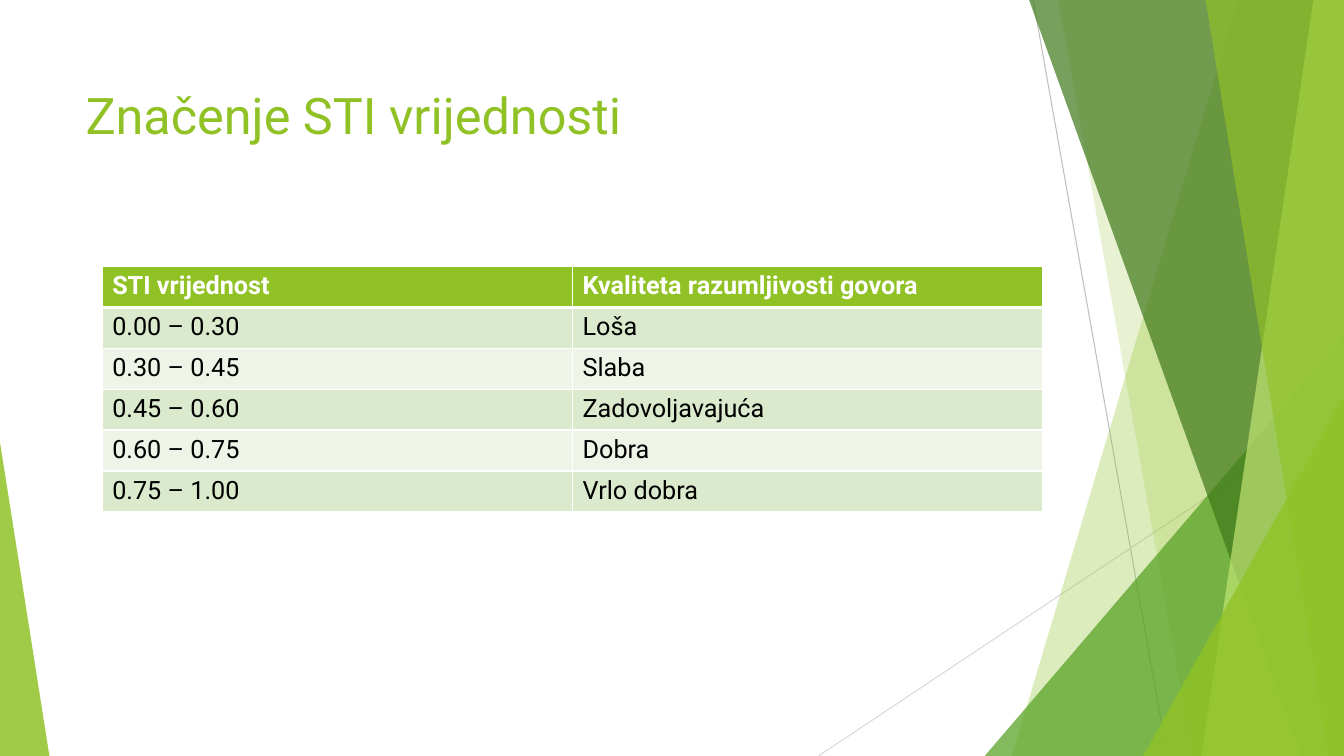
from lxml.etree import SubElement
from pptx import Presentation
from pptx.dml.color import RGBColor
from pptx.enum.shapes import MSO_CONNECTOR, MSO_SHAPE
from pptx.enum.text import MSO_ANCHOR
from pptx.oxml.ns import qn
from pptx.util import Pt

LIME = RGBColor(0x90, 0xC2, 0x26)
PALE_LIME = RGBColor(0xC0, 0xE4, 0x74)
GREEN = RGBColor(0x54, 0xA0, 0x21)
DARK_GREEN = RGBColor(0x3F, 0x78, 0x19)
BAND_DARK = RGBColor(0xDB, 0xE9, 0xCD)
BAND_LIGHT = RGBColor(0xEE, 0xF4, 0xE8)
GREY = RGBColor(0xBF, 0xBF, 0xBF)
LIGHT_GREY = RGBColor(0xD9, 0xD9, 0xD9)
WHITE = RGBColor(0xFF, 0xFF, 0xFF)
BLACK = RGBColor(0, 0, 0)

WIDTH, HEIGHT = 960, 540

RATINGS = [
    ("STI vrijednost", "Kvaliteta razumljivosti govora"),
    ("0.00 – 0.30", "Loša"),
    ("0.30 – 0.45", "Slaba"),
    ("0.45 – 0.60", "Zadovoljavajuća"),
    ("0.60 – 0.75", "Dobra"),
    ("0.75 – 1.00", "Vrlo dobra"),
]


class SlideBuilder:
    """Draws styled elements on one slide, with lengths in points."""

    def __init__(self, page, font_name):
        self.page = page
        self.font_name = font_name

    def paint(self, shape, color, opacity):
        shape.shadow.inherit = False
        shape.fill.solid()
        shape.fill.fore_color.rgb = color
        shape.line.fill.background()
        color_node = shape.element.spPr.find(f"{qn('a:solidFill')}/{qn('a:srgbClr')}")
        SubElement(color_node, qn("a:alpha"), val=str(opacity * 1000))

    def line(self, start, end, color):
        connector = self.page.shapes.add_connector(
            MSO_CONNECTOR.STRAIGHT, *(Pt(value) for value in start + end))
        connector.line.color.rgb = color
        connector.line.width = Pt(0.75)
        SubElement(connector.element.spPr, qn("a:effectLst"))

    def band(self, top_left, bottom_left, color, opacity):
        builder = self.page.shapes.build_freeform(Pt(top_left), 0)
        corners = [(WIDTH, 0), (WIDTH, HEIGHT), (bottom_left, HEIGHT)]
        builder.add_line_segments([(Pt(x), Pt(y)) for x, y in corners])
        self.paint(builder.convert_to_shape(), color, opacity)

    def triangle(self, left, top, width, peak, color, opacity):
        shape = self.page.shapes.add_shape(
            MSO_SHAPE.ISOSCELES_TRIANGLE, Pt(left), Pt(top), Pt(width), Pt(HEIGHT - top))
        shape.adjustments[0] = peak
        self.paint(shape, color, opacity)

    def set_text(self, frame, text, size, color, bold=False):
        para = frame.paragraphs[0]
        para.text = text
        para.font.name = self.font_name
        para.font.size = Pt(size)
        para.font.bold = bold
        para.font.color.rgb = color

    def title(self, text, left, top, width, height):
        box = self.page.shapes.add_textbox(Pt(left), Pt(top), Pt(width), Pt(height))
        frame = box.text_frame
        frame.word_wrap = True
        frame.vertical_anchor = MSO_ANCHOR.TOP
        frame.margin_top = Pt(6.2)
        self.set_text(frame, text, 36, LIME)

    def border(self, cell, side, width):
        properties = cell._tc.get_or_add_tcPr()
        edge = SubElement(properties, qn(f"a:ln{side}"), w=str(Pt(width)))
        SubElement(SubElement(edge, qn("a:solidFill")), qn("a:srgbClr"), val=str(WHITE))

    def table(self, rows, left, top, width, row_height):
        table = self.page.shapes.add_table(
            len(rows), len(rows[0]), Pt(left), Pt(top),
            Pt(width), Pt(row_height * len(rows))).table
        for row_index, row in enumerate(rows):
            header = row_index == 0
            fill = LIME if header else (BAND_LIGHT, BAND_DARK)[row_index % 2]
            for column_index, text in enumerate(row):
                cell = table.cell(row_index, column_index)
                for side in "LRTB":
                    thick = (row_index, side) in ((0, "B"), (1, "T"))
                    self.border(cell, side, 3 if thick else 1)
                cell.fill.solid()
                cell.fill.fore_color.rgb = fill
                self.set_text(cell.text_frame, text, 18, WHITE if header else BLACK, header)


def main():
    deck = Presentation()
    deck.slide_width, deck.slide_height = Pt(WIDTH), Pt(HEIGHT)
    builder = SlideBuilder(deck.slides.add_slide(deck.slide_layouts[6]), "Roboto")

    builder.line((738, 0), (833.8, HEIGHT), GREY)
    builder.line((WIDTH, 290), (584.6, HEIGHT), LIGHT_GREY)
    builder.band(884.2, 722.9, LIME, 30)
    builder.band(756, 851.8, LIME, 20)
    builder.triangle(703.4, 240, 256.6, 1, GREEN, 72)
    builder.band(735.1, 929.5, DARK_GREEN, 70)
    builder.band(938.2, 858.2, PALE_LIME, 70)
    builder.band(861.1, 949, LIME, 65)
    builder.triangle(816.5, 283, 143.5, 1, LIME, 80)
    builder.triangle(0, 316, 35.3, 0, LIME, 85)

    builder.title("Značenje STI vrijednosti", 54, 54, 672, 60.5)
    builder.table(RATINGS, 73, 190.4, 672, 29.2)
    deck.save("out.pptx")


if __name__ == "__main__":
    main()
